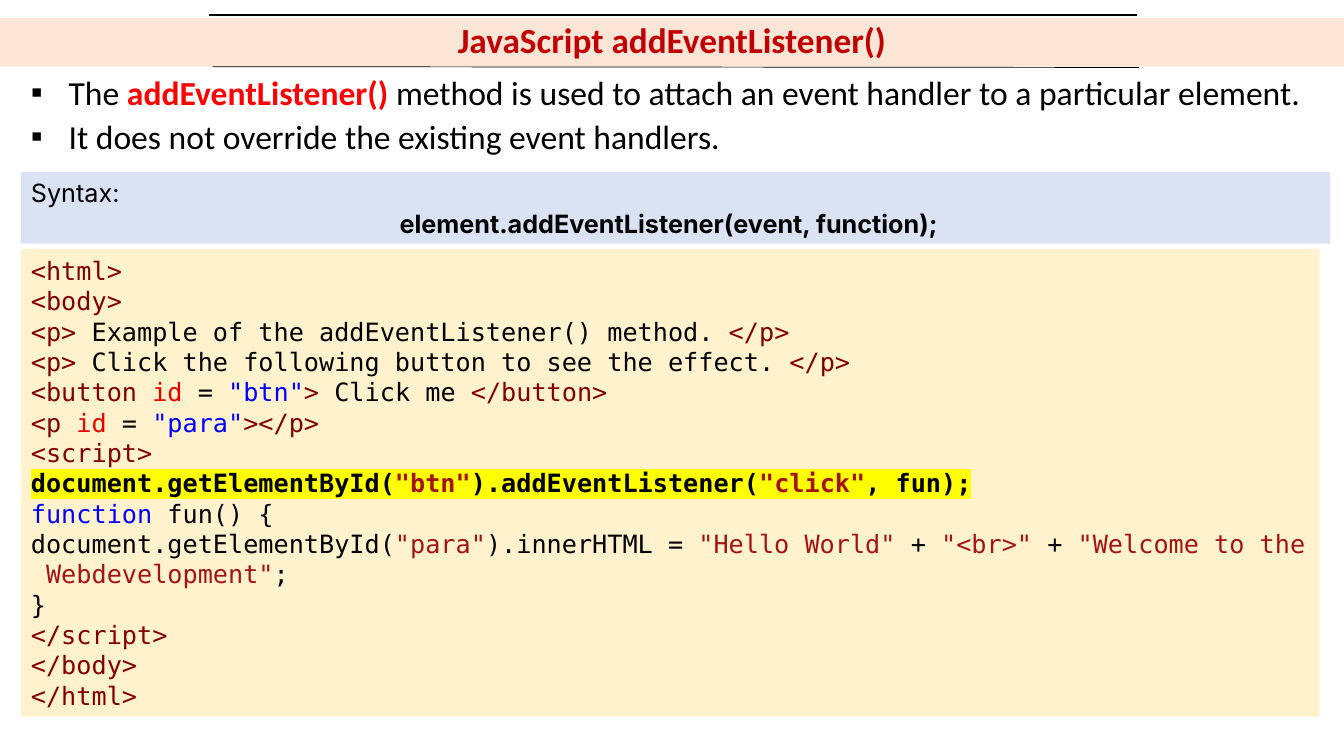
from dataclasses import dataclass

from lxml.etree import SubElement
from pptx import Presentation
from pptx.dml.color import RGBColor
from pptx.enum.shapes import MSO_CONNECTOR as Connector, MSO_SHAPE as Shape
from pptx.enum.text import MSO_ANCHOR as Anchor, PP_ALIGN as Align
from pptx.oxml.ns import qn
from pptx.util import Cm, Pt


@dataclass(frozen=True)
class Theme:
    title_band: str = "FBE5D6"
    syntax_band: str = "DAE3F3"
    code_band: str = "FFF2CC"
    title: str = "C00000"
    text: str = "000000"
    accent: str = "FF0000"
    tag: str = "800000"
    attribute: str = "E50000"
    keyword: str = "0000FF"
    string: str = "A31515"
    highlight: str = "FFFF00"
    body_font: str = "Calibri"
    syntax_font: str = "Inter"
    code_font: str = "DejaVu Sans Mono"
    title_size: float = 25.2
    body_size: float = 24
    code_size: float = 18
    code_leading: float = 21.65


theme = Theme()


def add_band(left, top, width, height, color):
    """Add a plain filled rectangle, measured in centimetres, and return its text frame."""
    shape = slide.shapes.add_shape(Shape.RECTANGLE, Cm(left), Cm(top), Cm(width), Cm(height))
    shape.shadow.inherit = False
    shape.fill.solid()
    shape.fill.fore_color.rgb = RGBColor.from_string(color)
    shape.line.fill.background()
    shape.text_frame.word_wrap = True
    shape.text_frame.vertical_anchor = Anchor.MIDDLE
    return shape.text_frame


def write_lines(text_frame, lines, font, size, align=Align.LEFT):
    """Write one paragraph per line; a line is a list of (text, colour, bold) spans."""
    for index, spans in enumerate(lines):
        paragraph = text_frame.add_paragraph() if index else text_frame.paragraphs[0]
        paragraph.alignment = align
        for text, color, bold in spans:
            run = paragraph.add_run()
            run.text = text
            run.font.name = font
            run.font.size = Pt(size)
            run.font.bold = bold
            run.font.color.rgb = RGBColor.from_string(color)


presentation = Presentation()
presentation.slide_width = Cm(33.87)
presentation.slide_height = Cm(19.05)
slide = presentation.slides.add_slide(presentation.slide_layouts[6])

# Title
title = add_band(0, 0.46, 33.87, 1.22, theme.title_band)
write_lines(title, [[("JavaScript addEventListener()", theme.title, True)]],
            theme.body_font, theme.title_size, Align.CENTER)
title.paragraphs[0].line_spacing = 0.9

# Bullets
bullets = slide.shapes.add_textbox(Cm(0.53), Cm(1.68), Cm(33), Cm(2.39)).text_frame
bullets.word_wrap = True
write_lines(bullets, [
    [("The ", theme.text, False),
     ("addEventListener() ", theme.accent, True),
     ("method is used to attach an event handler to a particular element.", theme.text, False)],
    [("It does not override the existing event handlers.", theme.text, False)],
], theme.body_font, theme.body_size)
for paragraph in bullets.paragraphs:
    paragraph.space_before = Pt(3)
    properties = paragraph._p.get_or_add_pPr()
    properties.set("marL", str(Cm(0.95)))
    properties.set("indent", str(-Cm(0.95)))
    SubElement(properties, qn("a:buFont"), typeface="Wingdings")
    properties[-1].set("typeface", "Arial")
    SubElement(properties, qn("a:buChar"), char="▪")

# Rules above and below the title
for left, top, right, bottom, weight in [
    (5.26, 0.38, 28.65, 0.38, 0.96),
    (5.36, 1.68, 28.7, 1.7, 0.5),
]:
    rule = slide.shapes.add_connector(Connector.STRAIGHT, Cm(left), Cm(top), Cm(right), Cm(bottom))
    rule.line.color.rgb = RGBColor.from_string(theme.text)
    rule.line.width = Pt(weight)
    SubElement(rule._element.spPr, qn("a:effectLst"))

# Syntax
syntax = add_band(0.53, 4.34, 33, 1.8, theme.syntax_band)
syntax.margin_right = Cm(0.6)
write_lines(syntax, [
    [("Syntax:", theme.text, False)],
    [("element.addEventListener(event, function);", theme.text, True)],
], theme.syntax_font, theme.code_size)
syntax.paragraphs[1].alignment = Align.CENTER

# Code example
plain, tag, attribute = theme.text, theme.tag, theme.attribute
keyword, string = theme.keyword, theme.string
code_lines = [
    [("<html>", tag)],
    [("<body>", tag)],
    [("<p>", tag), (" Example of the addEventListener() method. ", plain), ("</p>", tag)],
    [("<p>", tag), (" Click the following button to see the effect. ", plain), ("</p>", tag)],
    [("<button ", tag), ("id", attribute), (" = ", plain), ('"btn"', keyword), (">", tag),
     (" Click me ", plain), ("</button>", tag)],
    [("<p ", tag), ("id", attribute), (" = ", plain), ('"para"', keyword), ("></p>", tag)],
    [("<script>", tag)],
    [("document.getElementById(", plain), ('"btn"', string), (").addEventListener(", plain),
     ('"click"', string), (", fun);", plain)],
    [("function", keyword), (" fun() {", plain)],
    [("document.getElementById(", plain), ('"para"', string), (").innerHTML = ", plain),
     ('"Hello World"', string), (" + ", plain), ('"<br>"', string), (" + ", plain),
     ('"Welcome to the  Webdevelopment"', string), (";", plain)],
    [("}", plain)],
    [("</script>", tag)],
    [("</body>", tag)],
    [("</html>", tag)],
]
listener_line = 7
code = add_band(0.53, 6.27, 32.72, 11.79, theme.code_band)
write_lines(code, [
    [(text, color, index == listener_line) for text, color in spans]
    for index, spans in enumerate(code_lines)
], theme.code_font, theme.code_size)
for paragraph in code.paragraphs:
    paragraph.line_spacing = Pt(theme.code_leading)
for run in code.paragraphs[listener_line].runs:
    properties = run._r.get_or_add_rPr()
    highlight = SubElement(properties, qn("a:highlight"))
    SubElement(highlight, qn("a:srgbClr"), val=theme.highlight)
    properties.find(qn("a:solidFill")).addnext(highlight)

presentation.save("out.pptx")
